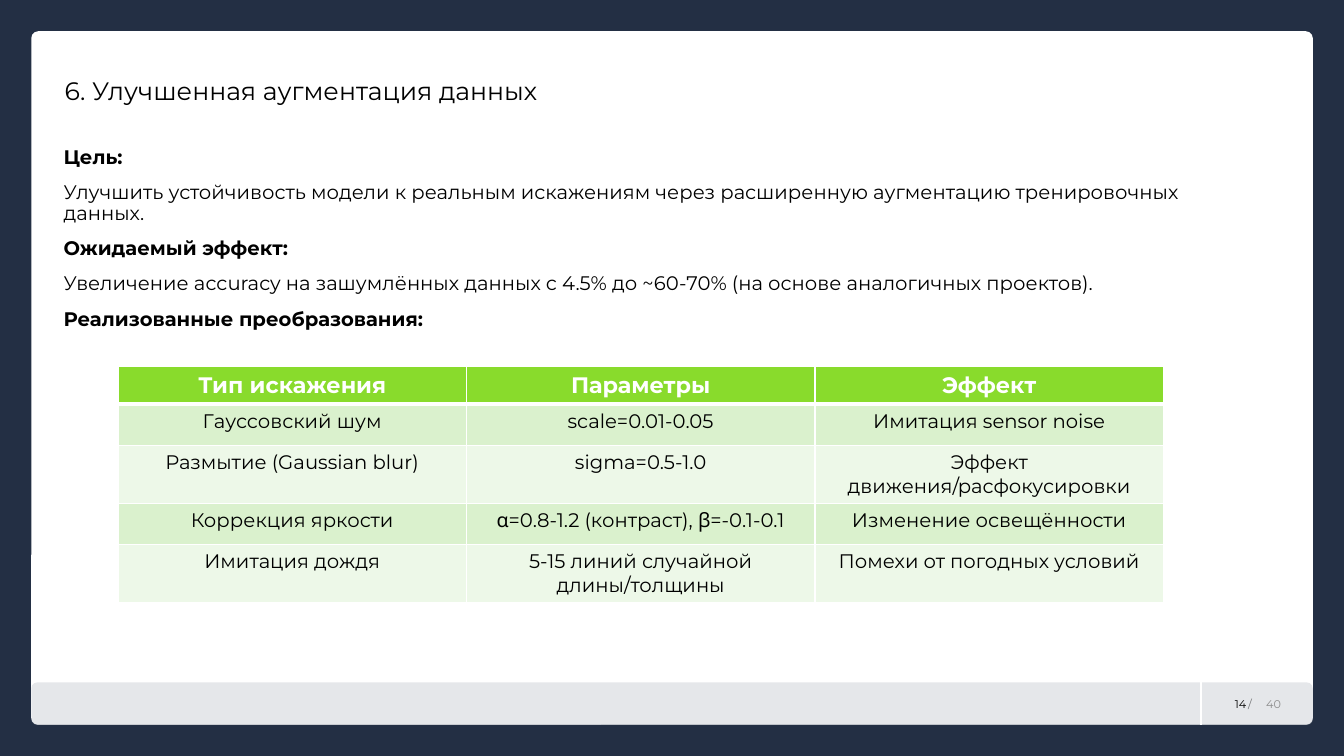
from pptx import Presentation
from pptx import util as u
from pptx.dml.color import RGBColor
from pptx.enum import shapes, text
from pptx.oxml import ns
from lxml import etree

HUES = {
    "navy": "232F44",
    "white": "FFFFFF",
    "black": "000000",
    "mist": "D5D8DD",
    "gray": "8C8C8C",
    "lime": "89DB2C",
    "mint": "DAF1CD",
    "pale": "EDF8E8",
}
TITLE = "6. Улучшенная аугментация данных"
NOTES = [
    ("Цель:", True),
    ("Улучшить устойчивость модели к реальным искажениям через "
     "расширенную аугментацию тренировочных данных.", False),
    ("Ожидаемый эффект:", True),
    ("Увеличение accuracy на зашумлённых данных с 4.5% до ~60-70% "
     "(на основе аналогичных проектов).", False),
    ("Реализованные преобразования:", True),
]
ROWS = [
    ("Тип искажения", "Параметры", "Эффект"),
    ("Гауссовский шум", "scale=0.01-0.05", "Имитация sensor noise"),
    ("Размытие (Gaussian blur)", "sigma=0.5-1.0",
     "Эффект движения/расфокусировки"),
    ("Коррекция яркости", "α=0.8-1.2 (контраст), β=-0.1-0.1",
     "Изменение освещённости"),
    ("Имитация дождя", "5-15 линий случайной длины/толщины",
     "Помехи от погодных условий"),
]
TALL = [4.8, 5.47, 7.6, 5.47, 7.6]


class Page:
    font = "Montserrat"
    left = text.PP_ALIGN.LEFT
    right = text.PP_ALIGN.RIGHT
    mid = text.PP_ALIGN.CENTER

    def __init__(self, deck):
        self.deck = deck
        self.slide = deck.slides.add_slide(deck.slide_layouts[1])
        self.items = self.slide.shapes
        self.paint(self.slide.background.fill, "navy")

    def x(self, share):
        return round(self.deck.slide_width * share / 100)

    def y(self, share):
        return round(self.deck.slide_height * share / 100)

    def area(self, x, y, w, h):
        return self.x(x), self.y(y), self.x(w), self.y(h)

    def paint(self, fill, hue):
        fill.solid()
        fill.fore_color.rgb = RGBColor.from_string(HUES[hue])

    def fade(self, item, share):
        color = next(item.element.iter(ns.qn("a:srgbClr")))
        etree.SubElement(color, ns.qn("a:alpha"), val=str(share * 1000))

    def style(self, para, size, hue="black", bold=False, align=None):
        para.alignment = align
        for run in para.runs:
            run.font.name = self.font
            run.font.size = u.Pt(size)
            run.font.bold = bold
            run.font.color.rgb = RGBColor.from_string(HUES[hue])

    def panel(self, area, hue, curve):
        item = self.items.add_shape(
            shapes.MSO_SHAPE.ROUNDED_RECTANGLE, *self.area(*area))
        item.adjustments[0] = curve
        item.shadow.inherit = False
        item.line.fill.background()
        self.paint(item.fill, hue)
        return item

    def rule(self, x, top, end, hue):
        item = self.items.add_connector(
            shapes.MSO_CONNECTOR.STRAIGHT,
            self.x(x), self.y(top), self.x(x), self.y(end))
        item.line.width = u.Pt(1.5)
        item.line.color.rgb = RGBColor.from_string(HUES[hue])
        etree.SubElement(item.element.spPr, ns.qn("a:effectLst"))

    def label(self, area, words, hue, align, pad=0.1):
        item = self.items.add_textbox(*self.area(*area))
        frame = item.text_frame
        frame.text = words
        frame.word_wrap = pad > 0
        frame.margin_left = frame.margin_right = u.Inches(pad)
        frame.vertical_anchor = text.MSO_ANCHOR.MIDDLE
        self.style(frame.paragraphs[0], 8, hue, align=align)
        return item

    def holder(self, item, area, lines, size):
        self.items.element.append(item.element)
        item.left, item.top, item.width, item.height = self.area(*area)
        frame = item.text_frame
        frame.text = "\n".join(words for words, bold in lines)
        frame.auto_size = text.MSO_AUTO_SIZE.NONE
        frame.vertical_anchor = text.MSO_ANCHOR.TOP
        for spot, (para, line) in enumerate(zip(frame.paragraphs, lines)):
            props = para._p.get_or_add_pPr()
            props.set("marL", "0")
            props.set("indent", "0")
            etree.SubElement(props, ns.qn("a:buNone"))
            para.line_spacing = 0.9
            para.space_before = u.Pt(10 if spot else 0)
            self.style(para, size, bold=line[1], align=self.left)

    def border(self, cell, row):
        props = cell._tc.get_or_add_tcPr()
        for side in "LRTB":
            thick = (row, side) in ((0, "B"), (1, "T"))
            line = etree.SubElement(
                props, ns.qn("a:ln" + side), w=str(u.Pt(3 if thick else 1)))
            fill = etree.SubElement(line, ns.qn("a:solidFill"))
            etree.SubElement(fill, ns.qn("a:srgbClr"), val=HUES["white"])

    def table(self, x, y, w, rows, tall):
        table = self.items.add_table(
            len(rows), len(rows[0]), *self.area(x, y, w, sum(tall))).table
        for r, words in enumerate(rows):
            table.rows[r].height = self.y(tall[r])
            for c, word in enumerate(words):
                cell = table.cell(r, c)
                cell.text = word
                self.border(cell, r)
                para = cell.text_frame.paragraphs[0]
                if r == 0:
                    self.paint(cell.fill, "lime")
                    self.style(para, 16, "white", True, self.mid)
                else:
                    self.paint(cell.fill, "mint" if r % 2 else "pale")
                    self.style(para, 14, align=self.mid)


def main():
    deck = Presentation()
    deck.slide_width = u.Inches(13.33)
    deck.slide_height = u.Inches(7.5)
    page = Page(deck)
    page.panel((2.33, 4.13, 95.35, 91.73), "white", 0.01)
    foot = page.panel((2.33, 90.27, 95.35, 5.6), "mist", 0.14)
    page.fade(foot, 60)
    slash = page.label((92.87, 91.47, 0.68, 3.2), "/", "black", page.left, 0)
    page.fade(slash, 50)
    page.rule(89.35, 90.27, 95.87, "white")
    page.label((93.47, 91.2, 3.75, 3.73), "40", "gray", page.left)
    page.label((90.32, 91.2, 3.15, 3.73), "14", "black", page.right)
    title, body = page.slide.placeholders
    page.holder(body, (3.98, 18.8, 86.35, 67.33), NOTES, 14)
    page.holder(title, (4.05, 9.73, 86.27, 5.2), [(TITLE, False)], 18)
    page.table(8.78, 48.53, 77.79, ROWS, TALL)
    deck.save("out.pptx")


if __name__ == "__main__":
    main()
